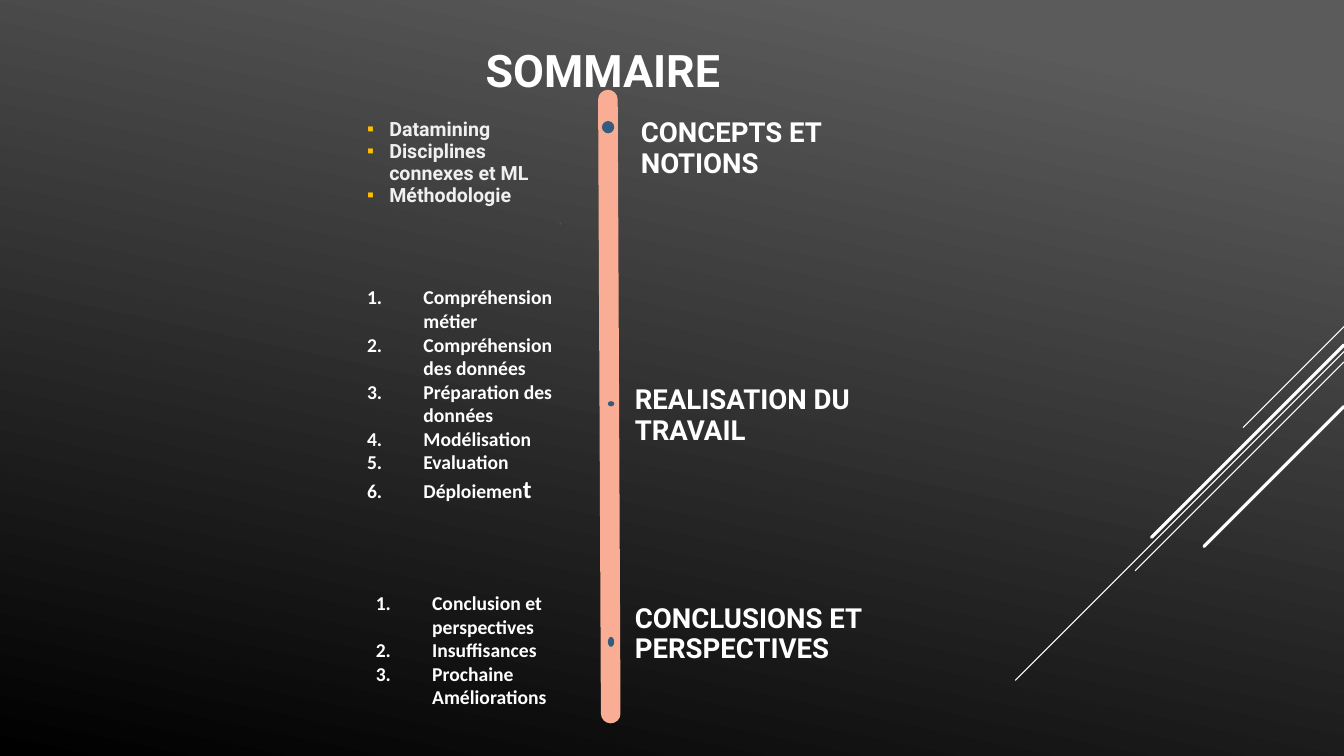
import pptx
import pptx.util
import pptx.dml.color
import pptx.enum.shapes
import pptx.enum.text
import lxml.etree
from pptx.oxml.ns import qn

Cm, Pt = pptx.util.Cm, pptx.util.Pt
RGBColor = pptx.dml.color.RGBColor
WHITE = RGBColor(0xFF, 0xFF, 0xFF)
PALE = RGBColor(0xF0, 0xF0, 0xF0)
GREY = RGBColor(0x5B, 0x5B, 0x5B)
BLACK = RGBColor(0, 0, 0)
PEACH = RGBColor(0xF8, 0xAD, 0x94)
BLUE = RGBColor(0x35, 0x5C, 0x7D)
GOLD = "FFC000"
WIDTH = 33.87

deck = pptx.Presentation()
deck.slide_width, deck.slide_height = Cm(WIDTH), Cm(19.05)
slide = deck.slides.add_slide(deck.slide_layouts.get_by_name("Comparison"))
shapes = slide.shapes

back = slide.background.fill
back.gradient()
back.gradient_angle = 258
for stop, place, color in zip(back.gradient_stops, (0.1, 1), (GREY, BLACK)):
    stop.position = place
    stop.color.rgb = color


def set_box(shape, box, inset=(0, 0)):
    """Place a text shape and give it wrapped, top-anchored text."""
    shape.left, shape.top, shape.width, shape.height = map(Cm, box)
    frame = shape.text_frame
    frame.word_wrap = True
    frame.auto_size = pptx.enum.text.MSO_AUTO_SIZE.NONE
    frame.vertical_anchor = pptx.enum.text.MSO_ANCHOR.TOP
    frame.margin_left = frame.margin_right = Cm(inset[0])
    frame.margin_top = frame.margin_bottom = Cm(inset[1])
    return frame


def add_run(para, text, font, size, color):
    run = para.add_run()
    run.text = text
    run.font.name, run.font.size, run.font.bold = font, Pt(size), True
    run.font.color.rgb = color


# Diagonal lines at 45 degrees from the right edge, then the timeline stem
lines = [
    (WIDTH, top, WIDTH - run, top + run, WHITE, weight)
    for top, run, weight in [
        (8.23, 2.54, 0.75), (8.86, 8.28, 0.75), (9.12, 5.26, 0.75),
        (8.69, 4.85, 2.25), (10.24, 3.53, 2.25),
    ]
]
lines.append((15.32, 2.51, 15.39, 17.98, PEACH, 14))
for *ends, color, weight in lines:
    line = shapes.add_connector(
        pptx.enum.shapes.MSO_CONNECTOR.STRAIGHT, *map(Cm, ends))
    line.line.color.rgb = color
    line.line.width = Pt(weight)
    line.line._get_or_add_ln().set("cap", "rnd")
    lxml.etree.SubElement(line._element.spPr, qn("a:effectLst"))

# Dots on and beside the stem
for box in [(15.17, 3.05, 0.31, 0.31), (15.32, 10.11, 0.16, 0.13),
            (15.32, 16.05, 0.16, 0.25), (14.1, 5.61, 0.05, 0.05)]:
    dot = shapes.add_shape(pptx.enum.shapes.MSO_SHAPE.OVAL, *map(Cm, box))
    dot.fill.solid()
    dot.fill.fore_color.rgb = BLUE
    dot.line.fill.background()
    dot.shadow.inherit = False

# Title
frame = set_box(shapes.title, (12.19, 1.02, 6.38, 1.47), (0.05, 0.05))
frame.word_wrap = False
frame.vertical_anchor = pptx.enum.text.MSO_ANCHOR.MIDDLE
para = frame.paragraphs[0]
para.alignment = pptx.enum.text.PP_ALIGN.LEFT
add_run(para, "SOMMAIRE", "Roboto", 32, WHITE)

# Section headings
for text, box in [
    ("CONCEPTS ET NOTIONS", (16.15, 2.97, 6.45, 0.48)),
    ("REALISATION DU TRAVAIL", (16, 9.7, 6.05, 0.66)),
    ("CONCLUSIONS ET PERSPECTIVES", (16, 15.21, 9.37, 1.96)),
]:
    para = set_box(shapes.add_textbox(0, 0, 0, 0), box).paragraphs[0]
    para.line_spacing = 0.93
    add_run(para, text, "Roboto", 19.7, WHITE)

# Section lists: box, inset, font, color, spacing, indent, numbered, items
lists = [
    ((9.25, 3, 4.9, 2.34), (0, 0), "Roboto", PALE, 0.93, 0.56, False,
     ["Datamining", "Disciplines connexes et ML", "Méthodologie"]),
    ((9.25, 7.19, 4.85, 3.81), (0, 0), "Calibri", WHITE, 1.0, 1.42, True,
     ["Compréhension métier", "Compréhension des données",
      "Préparation des données", "Modélisation", "Evaluation",
      "Déploiemen"]),
    ((9.22, 14.76, 5.33, 3.25), (0.25, 0.13), "Calibri", WHITE, 1.0, 1.42,
     True,
     ["Conclusion et perspectives", "Insuffisances",
      "Prochaine Améliorations"]),
]
bodies = [b for b in slide.placeholders
          if 1 <= b.placeholder_format.idx <= 4]
for body, (box, inset, font, color, space, indent, numbered, items) in zip(
        bodies, lists):
    frame = set_box(body, box, inset)
    for i, text in enumerate(items):
        para = frame.add_paragraph() if i else frame.paragraphs[0]
        para.alignment = pptx.enum.text.PP_ALIGN.LEFT
        para.line_spacing = space
        para.space_before = Pt(0)
        props = para._p.get_or_add_pPr()
        props.set("marL", str(Cm(indent)))
        props.set("indent", str(-Cm(indent)))
        if numbered:
            lxml.etree.SubElement(
                props, qn("a:buAutoNum"), type="arabicPeriod")
        else:
            tint = lxml.etree.SubElement(props, qn("a:buClr"))
            lxml.etree.SubElement(tint, qn("a:srgbClr"), val=GOLD)
            lxml.etree.SubElement(props, qn("a:buChar"), char="▪")
        add_run(para, text, font, 14, color)
        if text == "Déploiemen":
            add_run(para, "t", font, 18, color)

for spare in bodies[len(lists):]:
    spare._element.getparent().remove(spare._element)

deck.save("out.pptx")
